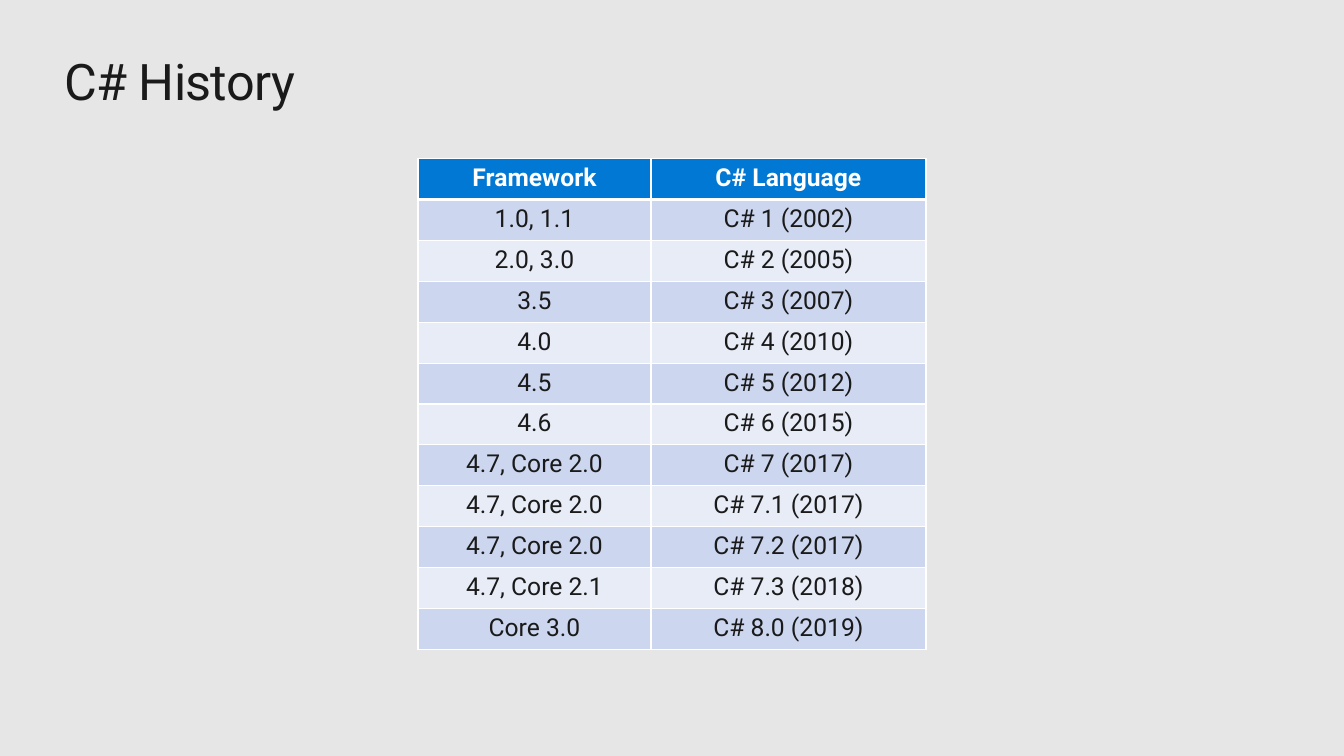
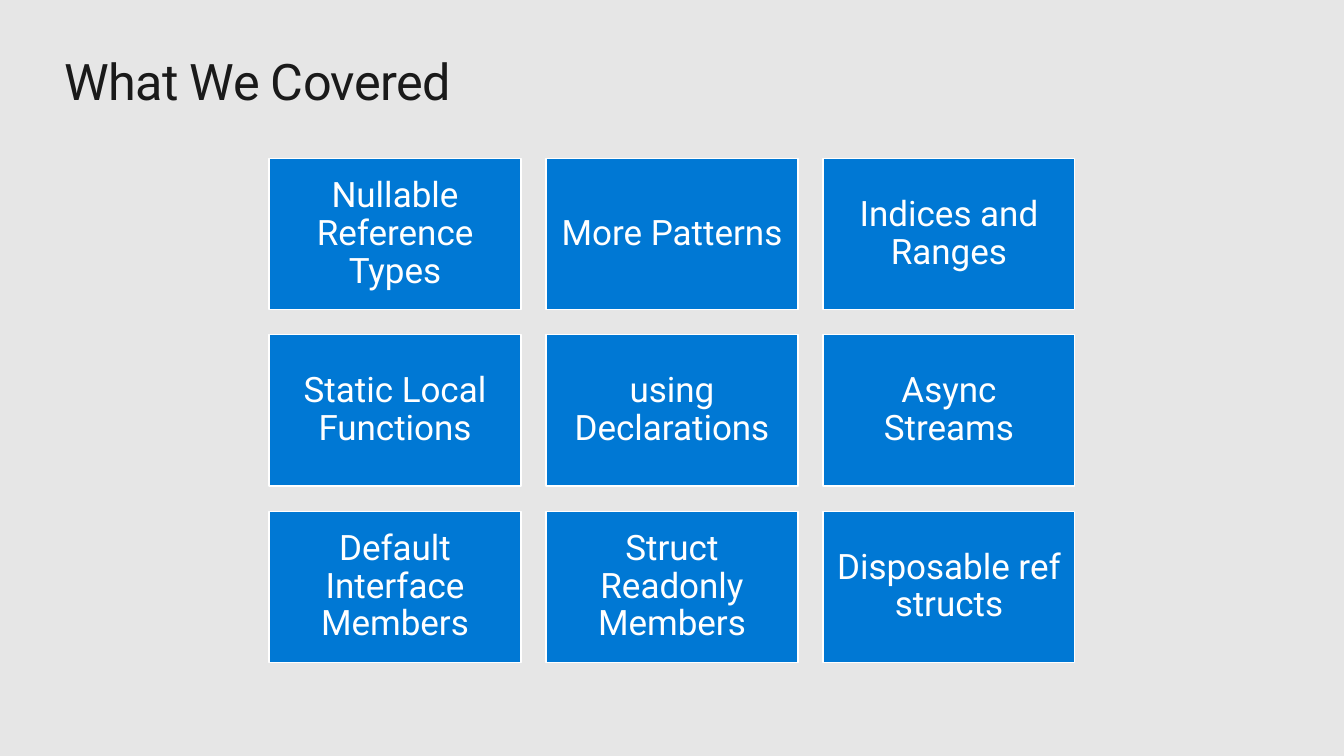
from lxml import etree
from pptx import Presentation
from pptx.dml.color import RGBColor
from pptx.enum.shapes import MSO_SHAPE
from pptx.enum.text import MSO_ANCHOR, PP_ALIGN
from pptx.oxml.ns import qn
from pptx.util import Cm, Pt

RECTANGLE = MSO_SHAPE.RECTANGLE
CENTER = PP_ALIGN.CENTER
MIDDLE = MSO_ANCHOR.MIDDLE

BACKGROUND = RGBColor(0xE6, 0xE6, 0xE6)
INK = RGBColor(0x1A, 0x1A, 0x1A)
WHITE = RGBColor(0xFF, 0xFF, 0xFF)
BLUE = RGBColor(0x00, 0x78, 0xD4)
BAND_DARK = RGBColor(0xCC, 0xD6, 0xEF)
BAND_LIGHT = RGBColor(0xE7, 0xEC, 0xF7)

FONT = "Roboto"
SLIDE_WIDTH, SLIDE_HEIGHT = 33.87, 19.05
CONTENT_TOP = 4

VERSIONS = [
    ("Framework", "C# Language"),
    ("1.0, 1.1", "C# 1 (2002)"),
    ("2.0, 3.0", "C# 2 (2005)"),
    ("3.5", "C# 3 (2007)"),
    ("4.0", "C# 4 (2010)"),
    ("4.5", "C# 5 (2012)"),
    ("4.6", "C# 6 (2015)"),
    ("4.7, Core 2.0", "C# 7 (2017)"),
    ("4.7, Core 2.0", "C# 7.1 (2017)"),
    ("4.7, Core 2.0", "C# 7.2 (2017)"),
    ("4.7, Core 2.1", "C# 7.3 (2018)"),
    ("Core 3.0", "C# 8.0 (2019)"),
]

TOPICS = [
    "Nullable Reference Types", "More Patterns", "Indices and Ranges",
    "Static Local Functions", "using Declarations", "Async Streams",
    "Default Interface Members", "Struct Readonly Members",
    "Disposable ref structs",
]


def set_border(cell, side, points):
    """Draw one white cell edge; side is L, R, T or B."""
    edge = etree.SubElement(cell._tc.get_or_add_tcPr(), qn(f"a:ln{side}"),
                            w=str(Pt(points)))
    fill = etree.SubElement(edge, qn("a:solidFill"))
    etree.SubElement(fill, qn("a:srgbClr"), val=str(WHITE))


class Deck:
    def __init__(self):
        self.presentation = Presentation()
        self.presentation.slide_width = Cm(SLIDE_WIDTH)
        self.presentation.slide_height = Cm(SLIDE_HEIGHT)
        self.slide = None

    def start_slide(self, title):
        blank = self.presentation.slide_layouts[6]
        self.slide = self.presentation.slides.add_slide(blank)
        self.slide.background.fill.solid()
        self.slide.background.fill.fore_color.rgb = BACKGROUND
        self.title(title)

    def add_text(self, paragraph, text, size, color, bold=False):
        run = paragraph.add_run()
        run.text = text
        run.font.name = FONT
        run.font.size = Pt(size)
        run.font.color.rgb = color
        run.font.bold = bold
        return run

    def set_margins(self, frame, margin):
        frame.margin_left = frame.margin_right = Cm(margin)
        frame.margin_top = frame.margin_bottom = Cm(margin)

    def title(self, text):
        box = self.slide.shapes.add_textbox(Cm(1.63), Cm(1.27), Cm(30.6), Cm(1.55))
        frame = box.text_frame
        frame.word_wrap = True
        self.set_margins(frame, 0)
        run = self.add_text(frame.paragraphs[0], text, 36, INK)
        run._r.get_or_add_rPr().set("spc", "-50")

    def table(self, rows, column_widths, row_height):
        """Add a centred, banded table whose first row is the header."""
        width = sum(column_widths)
        table = self.slide.shapes.add_table(
            len(rows), len(column_widths),
            Cm((SLIDE_WIDTH - width) / 2), Cm(CONTENT_TOP),
            Cm(width), Cm(row_height * len(rows))).table
        for column, column_width in zip(table.columns, column_widths):
            column.width = Cm(column_width)
        for index, values in enumerate(rows):
            table.rows[index].height = Cm(row_height)
            header = index == 0
            band = BAND_DARK if index % 2 else BAND_LIGHT
            edges = {"L": 1, "R": 1, "T": 3 if index == 1 else 1,
                     "B": 3 if header else 1}
            for cell, value in zip(table.rows[index].cells, values):
                for side, points in edges.items():
                    set_border(cell, side, points)
                cell.fill.solid()
                cell.fill.fore_color.rgb = BLUE if header else band
                paragraph = cell.text_frame.paragraphs[0]
                paragraph.alignment = CENTER
                self.add_text(paragraph, value, 17.6, WHITE if header else INK, header)

    def tile(self, text, left, top, width, height):
        tile = self.slide.shapes.add_shape(
            RECTANGLE, Cm(left), Cm(top), Cm(width), Cm(height))
        tile.shadow.inherit = False
        tile.fill.solid()
        tile.fill.fore_color.rgb = BLUE
        tile.line.color.rgb = WHITE
        tile.line.width = Pt(0.85)
        frame = tile.text_frame
        frame.word_wrap = True
        frame.vertical_anchor = MIDDLE
        self.set_margins(frame, 0.25)
        paragraph = frame.paragraphs[0]
        paragraph.alignment = CENTER
        paragraph.line_spacing = 0.9
        self.add_text(paragraph, text, 25, WHITE)

    def tile_grid(self, texts, columns, width, height, gap):
        """Lay tiles out row by row, centred across the slide."""
        left = (SLIDE_WIDTH - columns * width - (columns - 1) * gap) / 2
        for index, text in enumerate(texts):
            row, column = divmod(index, columns)
            self.tile(text, left + column * (width + gap),
                      CONTENT_TOP + row * (height + gap), width, height)


def main():
    deck = Deck()
    deck.start_slide("C# History")
    deck.table(VERSIONS, column_widths=(5.87, 6.93), row_height=1.03)
    deck.start_slide("What We Covered")
    deck.tile_grid(TOPICS, columns=3, width=6.35, height=3.81, gap=0.63)
    deck.presentation.save("out.pptx")


if __name__ == "__main__":
    main()
